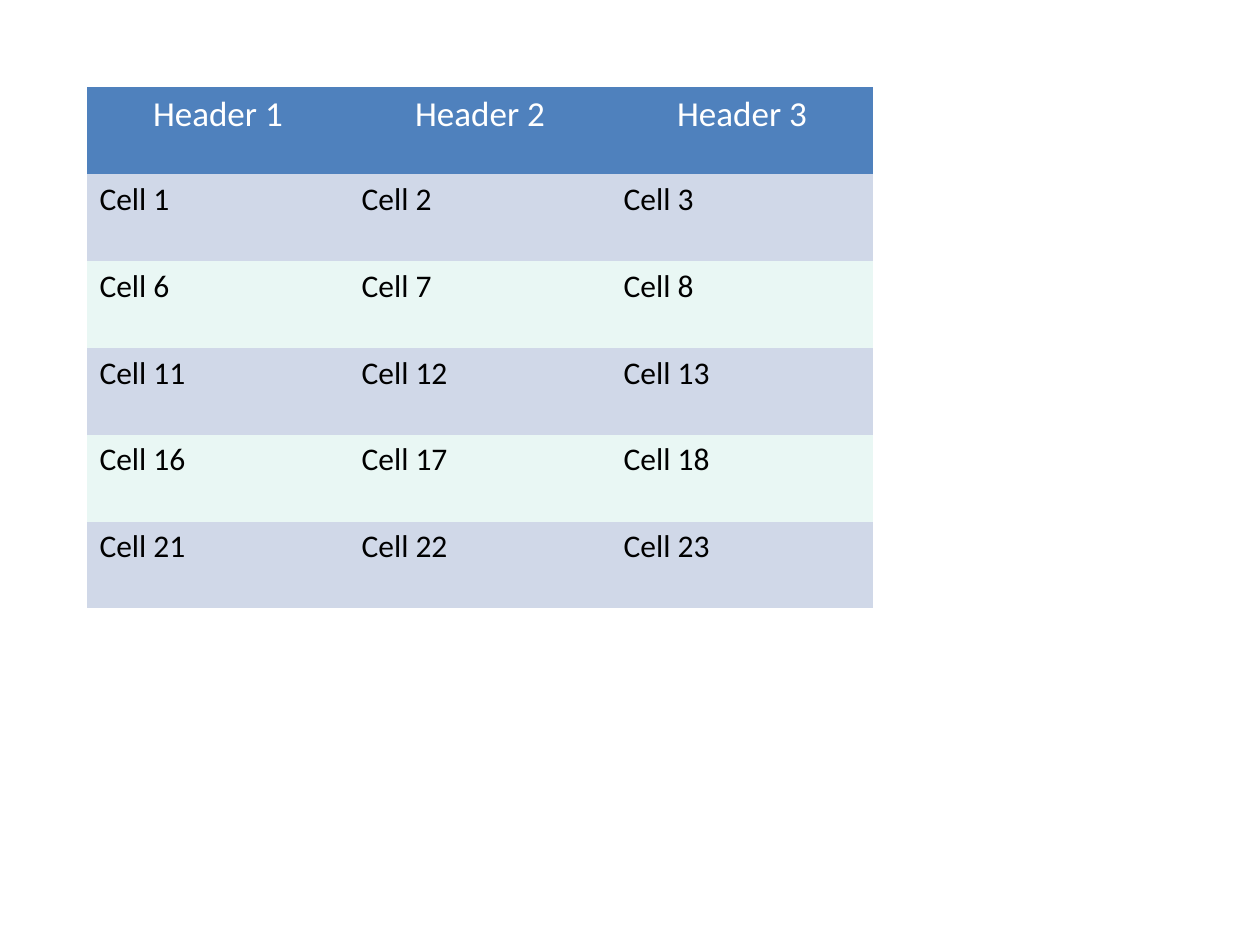
from pptx import Presentation
from pptx.dml.color import RGBColor
from pptx.enum.text import PP_ALIGN
from pptx.oxml.ns import qn
from pptx.util import Inches, Pt

MARGIN = 0.69
COLUMN_WIDTH = 2.08
ROW_HEIGHT = 0.69
PLAIN_TABLE_STYLE = "{2D5ABB26-0587-4C30-8999-92F81FD0307C}"
HEADER_FILL = "4F81BD"
BAND_FILLS = ("D0D8E8", "E9F7F4")


def color(hex_code):
    """Turn a hex string into a colour."""
    return RGBColor.from_string(hex_code)


def style_cell(cell, text, fill, size, font_color, alignment):
    """Write and format the text of one cell and fill its background."""
    cell.text = text
    cell.fill.solid()
    cell.fill.fore_color.rgb = color(fill)
    paragraph = cell.text_frame.paragraphs[0]
    paragraph.alignment = alignment
    font = paragraph.font
    font.name = "Calibri"
    font.size = Pt(size)
    font.bold = False
    font.color.rgb = color(font_color)


def add_banded_table(page, rows):
    """Add a borderless table with a header row and alternating bands."""
    column_count = len(rows[0])
    frame = page.shapes.add_table(
        len(rows), column_count, Inches(MARGIN), Inches(MARGIN),
        Inches(COLUMN_WIDTH * column_count), Inches(ROW_HEIGHT * len(rows)))
    for style in frame.element.iter(qn("a:tableStyleId")):
        style.text = PLAIN_TABLE_STYLE
    table = frame.table
    for row_index, row in enumerate(rows):
        if row_index == 0:
            look = (HEADER_FILL, 20, "FFFFFF", PP_ALIGN.CENTER)
        else:
            look = (BAND_FILLS[(row_index - 1) % 2], 18, "000000", PP_ALIGN.LEFT)
        for column_index, text in enumerate(row):
            style_cell(table.cell(row_index, column_index), text, *look)


def main():
    """Build the slide and save the deck."""
    deck = Presentation()
    deck.slide_width, deck.slide_height = Inches(10), Inches(7.5)
    page = deck.slides.add_slide(deck.slide_layouts[6])
    headers = [f"Header {number}" for number in range(1, 4)]
    body = [[f"Cell {first + offset}" for offset in range(3)]
            for first in range(1, 22, 5)]
    add_banded_table(page, [headers] + body)
    deck.save("out.pptx")


main()
